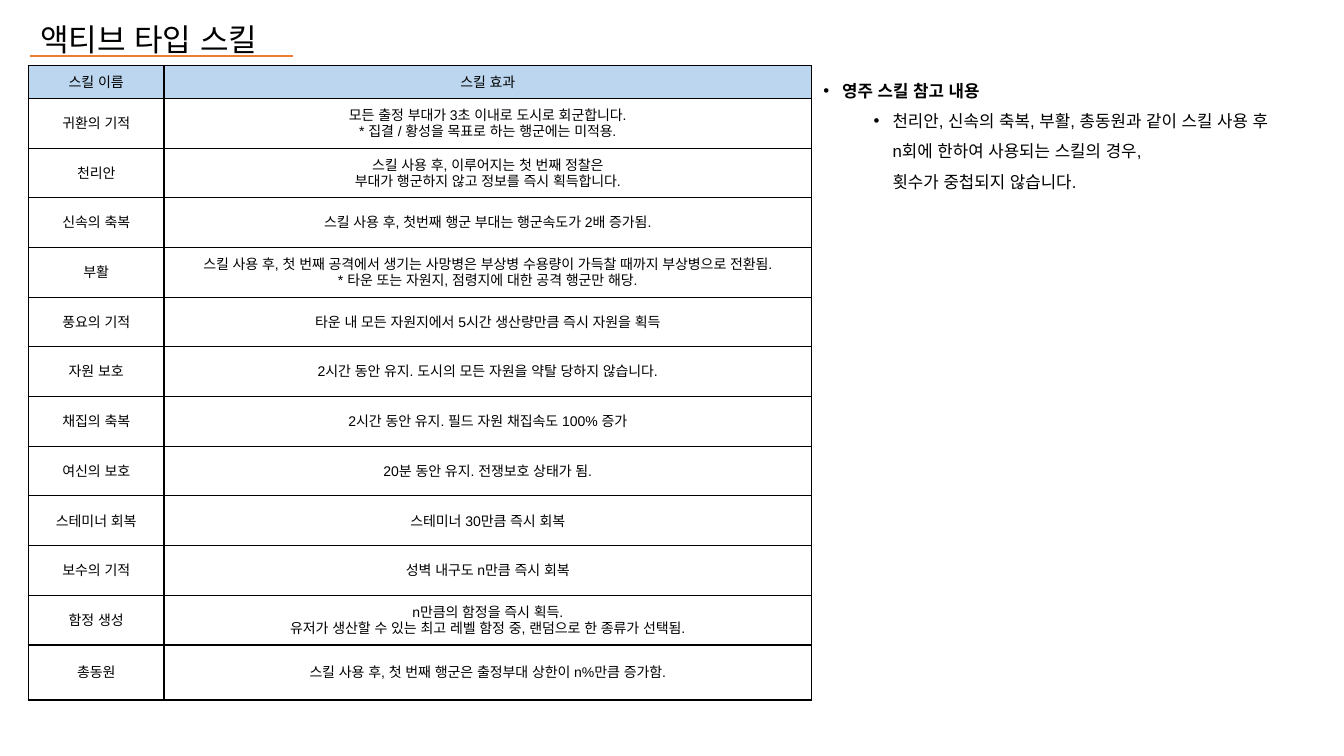
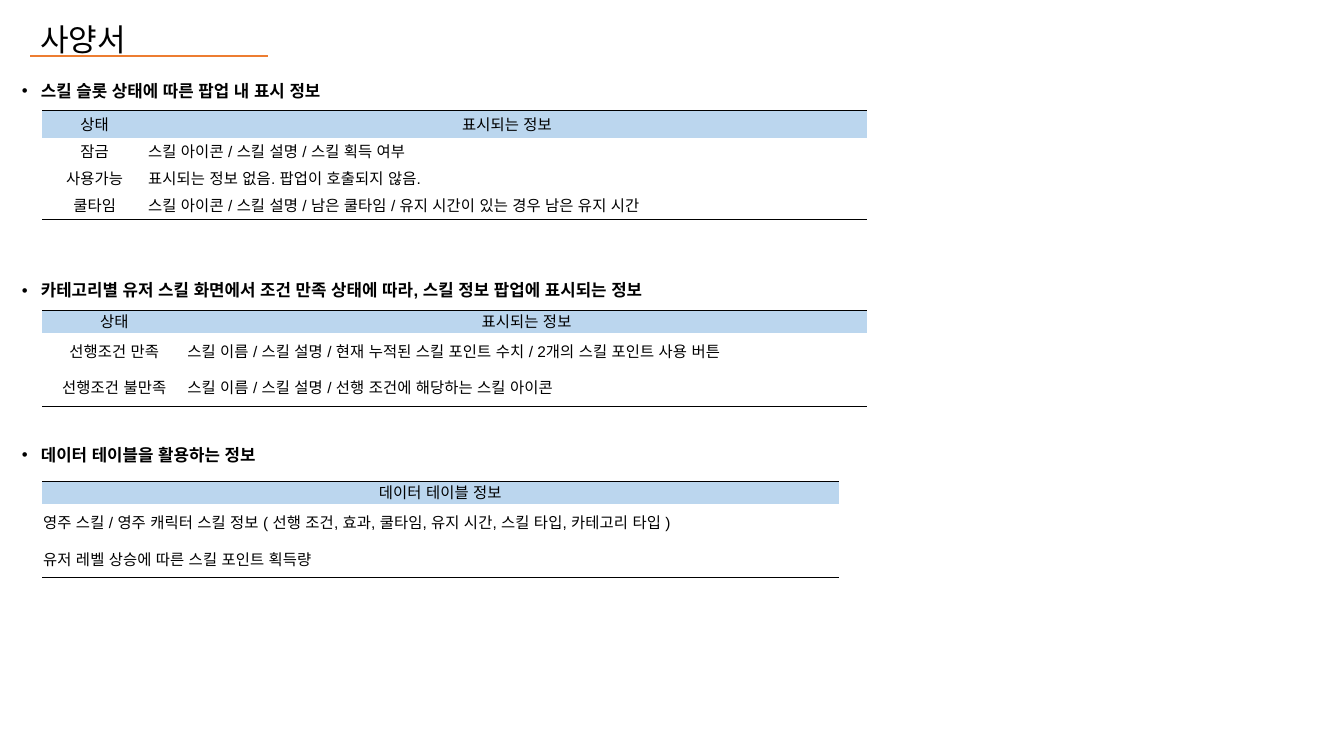
from copy import deepcopy
from dataclasses import dataclass

from lxml.etree import SubElement as Sub
from pptx import Presentation
from pptx.dml.color import RGBColor as Rgb
from pptx.enum.shapes import MSO_CONNECTOR as Link
from pptx.enum.text import MSO_ANCHOR as Anchor, PP_ALIGN as Align
from pptx.oxml.ns import qn
from pptx.slide import Slide
from pptx.util import Pt


@dataclass(frozen=True)
class Theme:
    font: str = "Arial"
    ink: str = "000000"
    accent: str = "ED7D31"
    band: str = "BBD6EE"
    title: float = 22.2
    note: float = 12
    small: float = 10
    body: float = 11
    rule: float = 1.5
    edge: float = 1
    pad: float = 0.7
    hang: float = 13.5


@dataclass(frozen=True)
class Box:
    left: float
    top: float
    width: float
    height: float


@dataclass(frozen=True)
class Bullet:
    text: str
    level: int = 0
    bold: bool = True


@dataclass(frozen=True)
class Grid:
    left: float
    top: float
    cols: tuple[float, ...]
    rows: tuple[float, ...]
    cells: tuple[tuple[str, ...], ...]
    size: float
    boxed: bool = False
    aligns: tuple[Align, ...] = (Align.CENTER, Align.LEFT)


@dataclass(frozen=True)
class Part:
    box: Box
    head: str
    grid: Grid


LOOK = Theme()

SKILLS = Grid(
    20.2, 46.8, (97, 462.4), (23.5, *[35.5] * 11, 39.3),
    (
        ("스킬 이름", "스킬 효과"),
        ("귀환의 기적", "모든 출정 부대가 3초 이내로 도시로 회군합니다.\n* 집결 / 황성을 목표로 하는 행군에는 미적용."),
        ("천리안", "스킬 사용 후, 이루어지는 첫 번째 정찰은\n부대가 행군하지 않고 정보를 즉시 획득합니다."),
        ("신속의 축복", "스킬 사용 후, 첫번째 행군 부대는 행군속도가 2배 증가됨."),
        ("부활", "스킬 사용 후, 첫 번째 공격에서 생기는 사망병은 부상병 수용량이 가득찰 때까지 부상병으로 전환됨.\n"
               "* 타운 또는 자원지, 점령지에 대한 공격 행군만 해당."),
        ("풍요의 기적", "타운 내 모든 자원지에서 5시간 생산량만큼 즉시 자원을 획득"),
        ("자원 보호", "2시간 동안 유지. 도시의 모든 자원을 약탈 당하지 않습니다."),
        ("채집의 축복", "2시간 동안 유지. 필드 자원 채집속도 100% 증가"),
        ("여신의 보호", "20분 동안 유지. 전쟁보호 상태가 됨."),
        ("스테미너 회복", "스테미너 30만큼 즉시 회복"),
        ("보수의 기적", "성벽 내구도 n만큼 즉시 회복"),
        ("함정 생성", "n만큼의 함정을 즉시 획득.\n유저가 생산할 수 있는 최고 레벨 함정 중, 랜덤으로 한 종류가 선택됨."),
        ("총동원", "스킬 사용 후, 첫 번째 행군은 출정부대 상한이 n%만큼 증가함."),
    ),
    LOOK.small, boxed=True, aligns=(Align.CENTER, Align.CENTER),
)

NOTES = (
    Bullet("영주 스킬 참고 내용"),
    Bullet("천리안, 신속의 축복, 부활, 총동원과 같이 스킬 사용 후\nn회에 한하여 사용되는 스킬의 경우,\n"
           "횟수가 중첩되지 않습니다.", level=1, bold=False),
)

PARTS = (
    Part(
        Box(8.6, 46.8, 610.6, 28.8), "스킬 슬롯 상태에 따른 팝업 내 표시 정보",
        Grid(30.2, 79.2, (75, 514), (19.4,) * 4, (
            ("상태", "표시되는 정보"),
            ("잠금", "스킬 아이콘 / 스킬 설명 / 스킬 획득 여부"),
            ("사용가능", "표시되는 정보 없음. 팝업이 호출되지 않음."),
            ("쿨타임", "스킬 아이콘 / 스킬 설명 / 남은 쿨타임 / 유지 시간이 있는 경우 남은 유지 시간"),
        ), LOOK.body),
    ),
    Part(
        Box(8.6, 189.4, 610.6, 28.8), "카테고리별 유저 스킬 화면에서 조건 만족 상태에 따라, 스킬 정보 팝업에 표시되는 정보",
        Grid(30.2, 221.8, (103, 486), (16, 26.2, 26.2), (
            ("상태", "표시되는 정보"),
            ("선행조건 만족", "스킬 이름 / 스킬 설명 / 현재 누적된 스킬 포인트 수치 / 2개의 스킬 포인트 사용 버튼"),
            ("선행조건 불만족", "스킬 이름 / 스킬 설명 / 선행 조건에 해당하는 스킬 아이콘"),
        ), LOOK.body),
    ),
    Part(
        Box(8.6, 306.7, 610.6, 25.9), "데이터 테이블을 활용하는 정보",
        Grid(30.2, 344.2, (568.8,), (16, 26.2, 26.2), (
            ("데이터 테이블 정보",),
            ("영주 스킬 / 영주 캐릭터 스킬 정보 ( 선행 조건, 효과, 쿨타임, 유지 시간, 스킬 타입, 카테고리 타입 )",),
            ("유저 레벨 상승에 따른 스킬 포인트 획득량",),
        ), LOOK.body, aligns=(Align.LEFT,)),
    ),
)


def write(para, text: str, *, size: float, bold: bool = False,
          align: Align = Align.LEFT, space: float | None = None) -> None:
    """Fill a paragraph; each newline becomes a line break of the same size."""
    para.alignment = align
    if space:
        para.line_spacing = space
    for i, line in enumerate(text.split("\n")):
        if i:
            para.add_line_break()
        run = para.add_run()
        run.text = line
        run.font.name = LOOK.font
        run.font.size = Pt(size)
        run.font.bold = bold
        run.font.color.rgb = Rgb.from_string(LOOK.ink)
        props = run._r.get_or_add_rPr()
        Sub(props, qn("a:ea"), typeface=LOOK.font)
    for br in para._p.findall(qn("a:br")):
        br.append(deepcopy(props))


def mark(para, level: int) -> None:
    """Give a paragraph a hanging bullet."""
    para.level = level
    props = para._p.get_or_add_pPr()
    props.set("marL", str(Pt(LOOK.hang + 36 * level)))
    props.set("indent", str(-Pt(LOOK.hang)))
    Sub(Sub(props, qn("a:buClr")), qn("a:srgbClr"), val=LOOK.ink)
    Sub(props, qn("a:buFont"), typeface=LOOK.font)
    Sub(props, qn("a:buChar"), char="•")


def frame(slide: Slide, box: Box):
    shape = slide.shapes.add_textbox(Pt(box.left), Pt(box.top), Pt(box.width), Pt(box.height))
    shape.text_frame.word_wrap = True
    return shape.text_frame


def bullets(slide: Slide, box: Box, items: tuple[Bullet, ...]) -> None:
    text = frame(slide, box)
    for i, item in enumerate(items):
        para = text.add_paragraph() if i else text.paragraphs[0]
        write(para, item.text, size=LOOK.note, bold=item.bold, space=1.5)
        mark(para, item.level)


def header(slide: Slide, text: str, length: float) -> None:
    title = frame(slide, Box(21.6, 0.7, 467.3, 46))
    write(title.paragraphs[0], text, size=LOOK.title, space=1.4)
    left, top = 21.6, 39.9
    rule = slide.shapes.add_connector(Link.STRAIGHT, Pt(left), Pt(top), Pt(left + length), Pt(top))
    rule.line.color.rgb = Rgb.from_string(LOOK.accent)
    rule.line.width = Pt(LOOK.rule)
    Sub(rule._element.spPr, qn("a:effectLst"))


def border(cell, sides: str) -> None:
    """Draw the sides named by the letters L, R, T, B and clear the others."""
    props = cell._tc.get_or_add_tcPr()
    for side in "LRTB":
        line = Sub(props, qn(f"a:ln{side}"), w=str(Pt(LOOK.edge)))
        if side in sides:
            Sub(Sub(line, qn("a:solidFill")), qn("a:srgbClr"), val=LOOK.ink)
        else:
            Sub(line, qn("a:noFill"))


def table(slide: Slide, grid: Grid) -> None:
    last = len(grid.rows) - 1
    form = slide.shapes.add_table(
        len(grid.rows), len(grid.cols), Pt(grid.left), Pt(grid.top),
        Pt(sum(grid.cols)), Pt(sum(grid.rows))).table
    form.first_row = form.horz_banding = False
    for col, width in zip(form.columns, grid.cols):
        col.width = Pt(width)
    for r, (height, texts) in enumerate(zip(grid.rows, grid.cells)):
        form.rows[r].height = Pt(height)
        for c, text in enumerate(texts):
            cell = form.cell(r, c)
            cell.margin_left = cell.margin_right = cell.margin_top = Pt(LOOK.pad)
            cell.margin_bottom = Pt(0)
            cell.vertical_anchor = Anchor.MIDDLE
            border(cell, "LRTB" if grid.boxed else {0: "T", last: "B"}.get(r, ""))
            if r:
                cell.fill.background()
            else:
                cell.fill.solid()
                cell.fill.fore_color.rgb = Rgb.from_string(LOOK.band)
            write(cell.text_frame.paragraphs[0], text, size=grid.size,
                  align=grid.aligns[c] if r else Align.CENTER)


def main() -> None:
    deck = Presentation()
    deck.slide_width, deck.slide_height = Pt(960), Pt(540)
    blank = deck.slide_layouts[6]

    skills = deck.slides.add_slide(blank)
    header(skills, "액티브 타입 스킬", 188)
    table(skills, SKILLS)
    bullets(skills, Box(581, 46.8, 379, 94.3), NOTES)

    specs = deck.slides.add_slide(blank)
    header(specs, "사양서", 170)
    for part in PARTS:
        bullets(specs, part.box, (Bullet(part.head),))
        table(specs, part.grid)

    deck.save("out.pptx")


if __name__ == "__main__":
    main()
